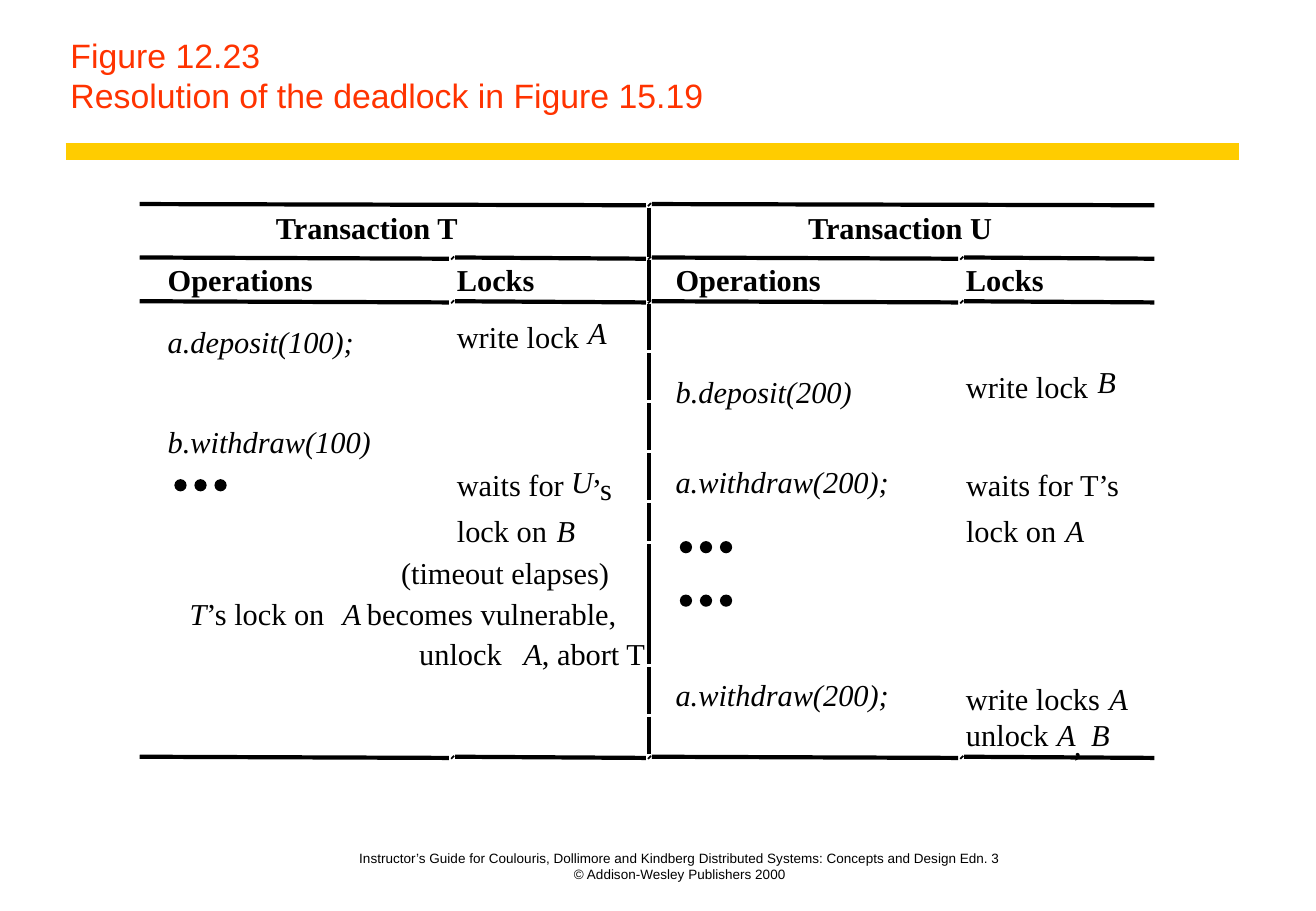
from dataclasses import dataclass
from itertools import product
from typing import NamedTuple

from lxml.etree import SubElement
from pptx import Presentation
from pptx.dml.color import RGBColor
from pptx.enum.shapes import MSO_CONNECTOR as Connector, MSO_SHAPE as Shape
from pptx.enum.text import MSO_ANCHOR as Anchor, MSO_AUTO_SIZE as AutoSize, PP_ALIGN as Align
from pptx.oxml.ns import qn
from pptx.slide import Slide
from pptx.util import Inches, Pt


@dataclass(frozen=True)
class Theme:
    ink: RGBColor = RGBColor(0x00, 0x00, 0x00)
    title: RGBColor = RGBColor(0xFF, 0x33, 0x00)
    bar: RGBColor = RGBColor(0xFF, 0xCC, 0x00)
    sans: str = "Arial"
    serif: str = "Times New Roman"
    title_size: float = 20
    table_size: float = 18
    footer_size: float = 8
    bar_width: float = 10
    rule_width: float = 2.5
    dot_width: float = 0.75


class Span(NamedTuple):
    text: str
    italic: bool = False
    bold: bool = False


class Label(NamedTuple):
    left: float
    top: float
    width: float
    spans: tuple[Span, ...]


class Rule(NamedTuple):
    x1: float
    y1: float
    x2: float
    y2: float


THEME = Theme()
TITLE_LINES = ("Figure 12.23", "Resolution of the deadlock in Figure 15.19")
FOOTER_LINES = (
    "Instructor’s Guide for Coulouris, Dollimore and Kindberg "
    "Distributed Systems: Concepts and Design Edn. 3",
    "© Addison-Wesley Publishers 2000",
)

# Left text edges of the two columns of each transaction
T_OPS, T_LOCKS, U_OPS, U_LOCKS = 1.38, 3.76, 5.56, 7.95
LABEL_HEIGHT, LABEL_SLACK = 0.3, 0.1


def plain(left: float, top: float, width: float, text: str) -> Label:
    return Label(left, top, width, (Span(text),))


def italic(left: float, top: float, width: float, text: str) -> Label:
    return Label(left, top, width, (Span(text, italic=True),))


def bold(left: float, top: float, width: float, text: str) -> Label:
    return Label(left, top, width, (Span(text, bold=True),))


HEADINGS = (
    bold(2.27, 1.72, 1.52, "Transaction T"),
    bold(6.65, 1.72, 1.53, "Transaction U"),
    *(bold(left, 2.15, 1.19, "Operations") for left in (T_OPS, U_OPS)),
    *(bold(left, 2.15, 0.64, "Locks") for left in (T_LOCKS, U_LOCKS)),
)

TRANSACTION_T = (
    italic(T_OPS, 2.66, 1.53, "a.deposit(100);"),
    plain(T_LOCKS, 2.62, 1.07, "write lock"),
    italic(4.84, 2.59, 0.15, "A"),
    italic(T_OPS, 3.48, 1.67, "b.withdraw(100)"),
    plain(T_LOCKS, 3.84, 0.94, "waits for"),
    italic(4.7, 3.81, 0.18, "U"),
    plain(4.87, 3.87, 0.18, "’s"),
    plain(T_LOCKS, 4.22, 0.81, "lock on"),
    italic(4.58, 4.22, 0.15, "B"),
    plain(3.3, 4.56, 1.72, "(timeout elapses)"),
    Label(1.56, 4.9, 1.19, (Span("T", italic=True), Span("’s lock on"))),
    italic(2.82, 4.9, 0.15, "A"),
    plain(3.02, 4.9, 2.06, "becomes vulnerable,"),
    plain(3.45, 5.23, 0.74, "unlock"),
    italic(4.31, 5.23, 0.15, "A"),
    plain(4.46, 5.23, 0.85, ", abort T"),
)

TRANSACTION_U = (
    italic(U_OPS, 3.07, 1.45, "b.deposit(200)"),
    plain(U_LOCKS, 3.03, 1.07, "write lock"),
    italic(9.03, 2.99, 0.15, "B"),
    italic(U_OPS, 3.81, 1.76, "a.withdraw(200);"),
    plain(U_LOCKS, 3.84, 1.28, "waits for T’s"),
    plain(U_LOCKS, 4.22, 0.81, "lock on"),
    italic(8.77, 4.22, 0.15, "A"),
    italic(U_OPS, 5.57, 1.76, "a.withdraw(200);"),
    plain(U_LOCKS, 5.6, 1.17, "write locks"),
    italic(9.13, 5.6, 0.15, "A"),
    plain(U_LOCKS, 5.9, 0.74, "unlock"),
    italic(8.7, 5.9, 0.15, "A"),
    plain(8.84, 5.98, 0.12, ","),
    italic(8.98, 5.9, 0.15, "B"),
)

# Rules break at the joints between columns and rows
TABLE_LEFT, TABLE_RIGHT = 1.15, 9.5
MIDDLE = 5.34
COLUMN_JOINTS = (3.72, MIDDLE, 7.91)
JOINTS_BY_ROW = {1.68: (MIDDLE,), 2.12: COLUMN_JOINTS, 2.48: COLUMN_JOINTS, 6.23: COLUMN_JOINTS}
ROW_TOPS = (1.71, 2.14, 2.5, 2.91, 3.32, 3.73, 4.14, 4.48, 5.49, 5.9, 6.23)
GAP = 0.025
TICK = 0.01

DOT_GROUPS = ((1.44, 3.95), (5.6, 4.46), (5.6, 4.9))
DOT_SIZE, DOT_PITCH = 0.09, 0.165


def table_rules() -> list[Rule]:
    rules = []
    for y, joints in JOINTS_BY_ROW.items():
        starts = (TABLE_LEFT, *(x + GAP for x in joints))
        ends = (*(x - GAP for x in joints), TABLE_RIGHT)
        rules += [Rule(start, y, end, y + TICK) for start, end in zip(starts, ends)]
        rules += [Rule(x, y, x + TICK, y + TICK) for x in joints]
    rules += [
        Rule(MIDDLE, top, MIDDLE, following - GAP)
        for top, following in zip(ROW_TOPS, ROW_TOPS[1:])
    ]
    return rules


def draw_rule(page: Slide, rule: Rule, color: RGBColor, width: float) -> None:
    line = page.shapes.add_connector(Connector.STRAIGHT, *(Inches(value) for value in rule))
    line.line.color.rgb = color
    line.line.width = Pt(width)
    SubElement(line._element.spPr, qn("a:effectLst"))


def draw_label(page: Slide, label: Label) -> None:
    box = page.shapes.add_textbox(Inches(label.left), Inches(label.top),
                                  Inches(label.width + LABEL_SLACK), Inches(LABEL_HEIGHT))
    frame = box.text_frame
    frame.margin_left = frame.margin_right = frame.margin_top = frame.margin_bottom = 0
    frame.word_wrap = True
    frame.auto_size = AutoSize.SHAPE_TO_FIT_TEXT
    for span in label.spans:
        run = frame.paragraphs[0].add_run()
        run.text = span.text
        font = run.font
        font.name, font.size = THEME.serif, Pt(THEME.table_size)
        font.italic, font.bold = span.italic, span.bold
        font.color.rgb = THEME.ink


def draw_dot(page: Slide, left: float, top: float) -> None:
    dot = page.shapes.add_shape(
        Shape.OVAL, Inches(left), Inches(top), Inches(DOT_SIZE), Inches(DOT_SIZE))
    dot.shadow.inherit = False
    dot.fill.solid()
    dot.fill.fore_color.rgb = dot.line.color.rgb = THEME.ink
    dot.line.width = Pt(THEME.dot_width)


def write_lines(box, lines: tuple[str, ...], size: float, color: RGBColor, align: Align) -> None:
    """Fill a bottom-anchored box with one paragraph, broken between the lines."""
    frame = box.text_frame
    frame.word_wrap = True
    frame.auto_size = AutoSize.NONE
    frame.vertical_anchor = Anchor.BOTTOM
    para = frame.paragraphs[0]
    para.alignment = align
    for index, text in enumerate(lines):
        if index:
            para.add_line_break()
        run = para.add_run()
        run.text = text
        run.font.name, run.font.size = THEME.sans, Pt(size)
        run.font.color.rgb = color


def main() -> None:
    deck = Presentation()
    deck.slide_width, deck.slide_height = Inches(10.83), Inches(7.5)
    page = deck.slides.add_slide(deck.slide_layouts[5])
    draw_rule(page, Rule(0.54, 1.25, 10.2, 1.25), THEME.bar, THEME.bar_width)
    title = page.shapes.title
    title.left, title.top = Inches(0.48), Inches(0.25)
    title.width, title.height = Inches(9.72), Inches(0.75)
    write_lines(title, TITLE_LINES, THEME.title_size, THEME.title, Align.LEFT)
    footer = page.shapes.add_textbox(Inches(2.3), Inches(7), Inches(6.59), Inches(0.31))
    write_lines(footer, FOOTER_LINES, THEME.footer_size, THEME.ink, Align.CENTER)
    for rule in table_rules():
        draw_rule(page, rule, THEME.ink, THEME.rule_width)
    for label in HEADINGS + TRANSACTION_T + TRANSACTION_U:
        draw_label(page, label)
    for (left, top), index in product(DOT_GROUPS, range(3)):
        draw_dot(page, left + index * DOT_PITCH, top)
    deck.save("out.pptx")


if __name__ == "__main__":
    main()
